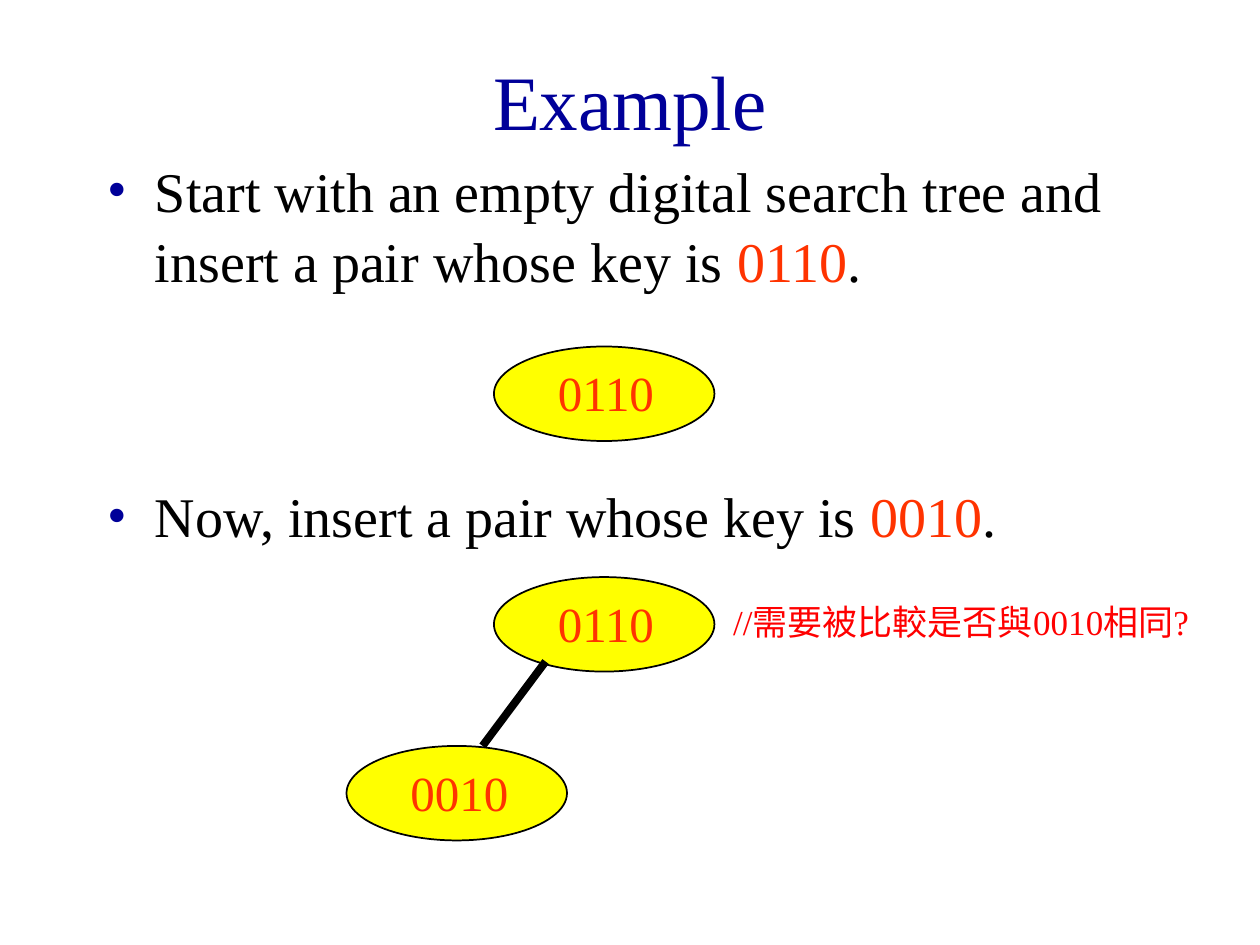
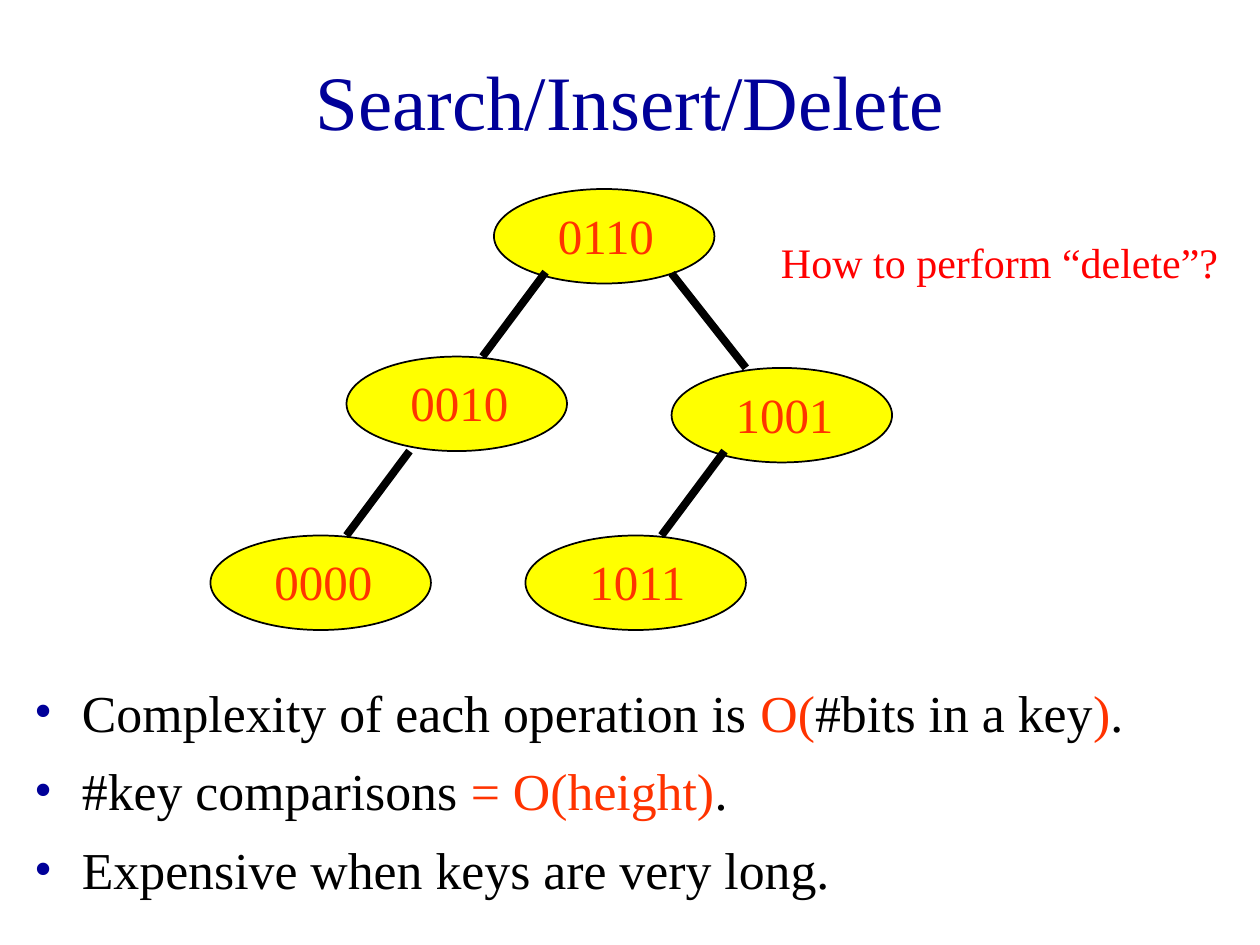
import lxml.etree
import pptx
import pptx.dml.color
import pptx.enum.shapes
import pptx.enum.text
import pptx.oxml.ns
import pptx.util

Inches = pptx.util.Inches
Pt = pptx.util.Pt
FONT = "Times New Roman"
NAVY, BLACK, KEY, RED, YELLOW = "000099", "000000", "FF3300", "FF0000", "FFFF00"
NODE_W, NODE_H = 1.75, 0.75
# Where a link meets the top of the child, and the way from there to the parent
LINKS = {"left": (1.08, 0.5, -0.67), "right": (0.59, -0.59, -0.75)}


def color(code):
    return pptx.dml.color.RGBColor.from_string(code)


def add_xml(parent, tag, **attrs):
    return lxml.etree.SubElement(parent, pptx.oxml.ns.qn(tag), **attrs)


class Deck:
    def __init__(self):
        self.prs = pptx.Presentation()
        self.prs.slide_width = Inches(10)
        self.prs.slide_height = Inches(7.5)
        self.slide = None

    def start(self, title, layout):
        self.slide = self.prs.slides.add_slide(self.prs.slide_layouts[layout])
        head = self.slide.shapes.title
        self.place(head, 0.75, 0.17, 8.5, 1.25)
        head.text_frame.text = title
        head.text_frame.vertical_anchor = pptx.enum.text.MSO_ANCHOR.MIDDLE
        para = head.text_frame.paragraphs[0]
        para.alignment = pptx.enum.text.PP_ALIGN.CENTER
        self.style(para.runs[0], 44, NAVY)

    def place(self, shape, x, y, w, h):
        shape.left, shape.top = Inches(x), Inches(y)
        shape.width, shape.height = Inches(w), Inches(h)

    def style(self, run, size, code):
        run.font.name = FONT
        run.font.size = Pt(size)
        run.font.color.rgb = color(code)

    def bullets(self, slot, box, size, items):
        """Fill a body placeholder; text between asterisks is highlighted."""
        body = self.slide.placeholders[slot]
        self.place(body, *box)
        frame = body.text_frame
        frame.auto_size = pptx.enum.text.MSO_AUTO_SIZE.NONE
        for i, item in enumerate(items):
            para = frame.add_paragraph() if i else frame.paragraphs[0]
            props = para._p.get_or_add_pPr()
            props.set("marL", str(Inches(0.38)))
            props.set("indent", str(Inches(-0.38)))
            add_xml(add_xml(props, "a:buClr"), "a:srgbClr", val=NAVY)
            add_xml(props, "a:buFont", typeface=FONT)
            add_xml(props, "a:buChar", char="•")
            para.space_before = Pt(8 if i else 0)
            para.line_spacing = 1.04
            for j, part in enumerate(item.split("*")):
                if part:
                    run = para.add_run()
                    run.text = part
                    self.style(run, size, KEY if j % 2 else BLACK)

    def label(self, shapes, box, text, size, code, wrap=True):
        area = shapes.add_textbox(*map(Inches, box))
        area.text_frame.word_wrap = wrap
        area.text_frame.text = text
        self.style(area.text_frame.paragraphs[0].runs[0], size, code)

    def node(self, shapes, key, x, y):
        oval = shapes.add_shape(pptx.enum.shapes.MSO_SHAPE.OVAL, Inches(x),
                                Inches(y), Inches(NODE_W), Inches(NODE_H))
        oval.shadow.inherit = False
        oval.fill.solid()
        oval.fill.fore_color.rgb = color(YELLOW)
        oval.line.color.rgb = color(BLACK)
        oval.line.width = Pt(1)
        self.label(shapes, (x + 0.41, y + 0.08, 1.17, 0.57), key, 28, KEY)

    def link(self, shapes, x, y, side):
        """Join the child at x, y to the parent above it."""
        inset, dx, dy = LINKS[side]
        end = x + inset
        line = shapes.add_connector(
            pptx.enum.shapes.MSO_CONNECTOR.STRAIGHT,
            Inches(end + dx), Inches(y + dy), Inches(end), Inches(y))
        line.line.color.rgb = color(BLACK)
        line.line.width = Pt(4.5)
        add_xml(line._element.spPr, "a:effectLst")

    def tree(self, nodes):
        """Draw a group of (key, x, y, side of the parent) nodes."""
        shapes = self.slide.shapes.add_group_shape().shapes
        for key, x, y, side in nodes:
            self.node(shapes, key, x, y)
        for key, x, y, side in nodes:
            if side:
                self.link(shapes, x, y, side)

    def note(self, box, text, size):
        self.label(self.slide.shapes, box, text, size, RED, wrap=False)


def main():
    deck = Deck()

    deck.start("Example", layout=3)
    deck.bullets(1, (0.75, 1.17, 8.5, 1.25), 32, [
        "Start with an empty digital search tree and insert a pair "
        "whose key is *0110*."])
    deck.tree([("0110", 3.92, 2.75, None)])
    deck.bullets(2, (0.75, 3.75, 8.5, 0.75), 32, [
        "Now, insert a pair whose key is *0010*."])
    deck.tree([("0110", 3.92, 4.58, None), ("0010", 2.75, 5.92, "left")])
    deck.note((5.72, 4.72, 4.08, 0.44), "//需要被比較是否與0010相同?", 20)

    deck.start("Search/Insert/Delete", layout=1)
    deck.bullets(1, (0.17, 5.33, 9.75, 1.83), 29.6, [
        "Complexity of each operation is *O(*#bits in a key*)*.",
        "#key comparisons *= O(height)*.",
        "Expensive when keys are very long."])
    deck.tree([
        ("0110", 3.92, 1.5, None),
        ("0010", 2.75, 2.83, "left"),
        ("1001", 5.33, 2.92, "right"),
        ("0000", 1.67, 4.25, "left"),
        ("1011", 4.17, 4.25, "left")])
    deck.note((6.1, 1.83, 3.67, 0.5), "How to perform “delete”?", 24)

    deck.prs.save("out.pptx")


if __name__ == "__main__":
    main()
